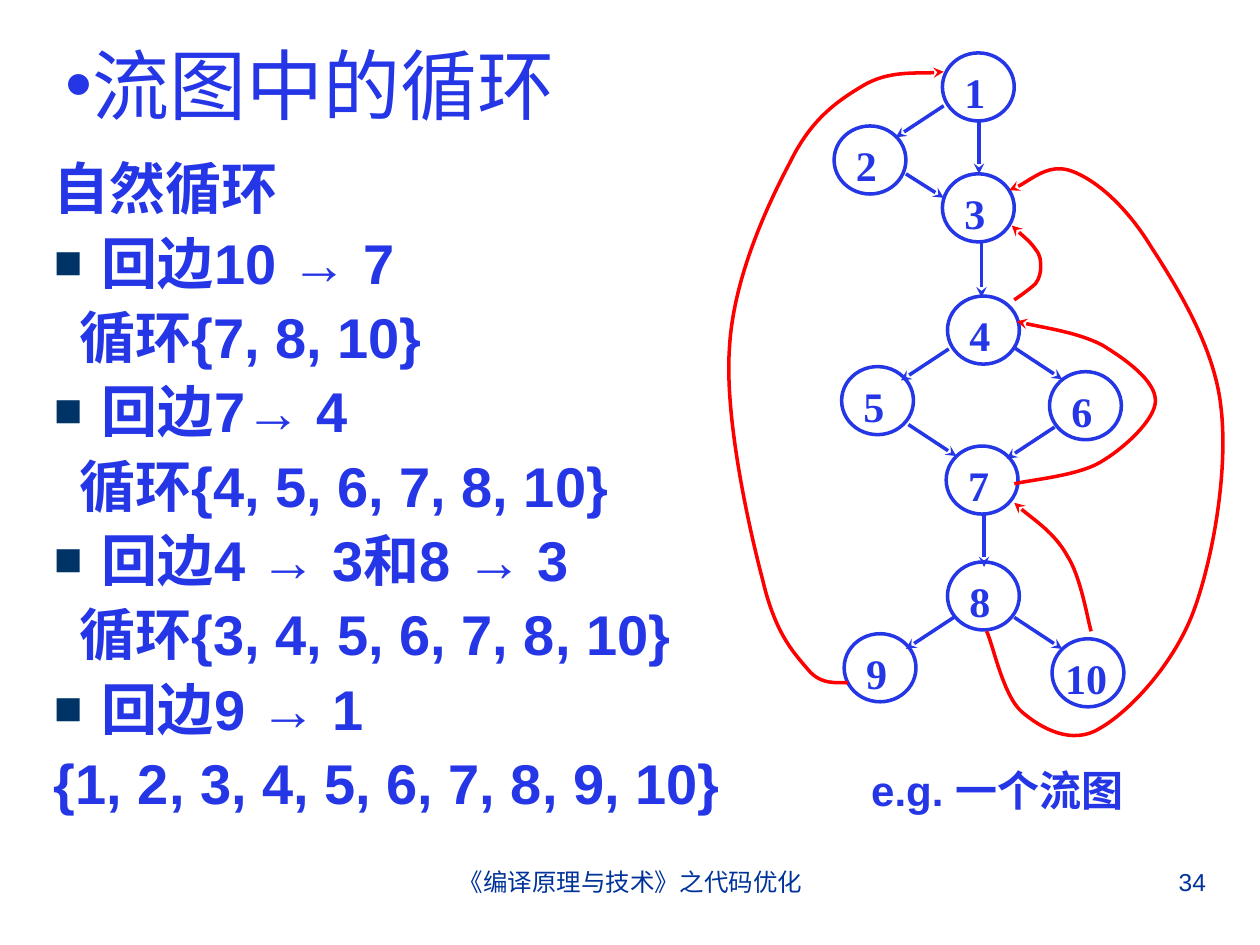
from lxml.etree import SubElement
from pptx import Presentation
from pptx.dml.color import RGBColor
from pptx.enum.lang import MSO_LANGUAGE_ID
from pptx.enum.shapes import MSO_CONNECTOR, MSO_SHAPE
from pptx.enum.text import MSO_ANCHOR, PP_ALIGN
from pptx.oxml.ns import qn
from pptx.util import Inches, Pt

COLORS = {"blue": "2436E6", "footer": "003399", "bullet": "003366", "loop": "FF0000"}
LATIN, CHINESE, SERIF = "Arial", "Noto Sans CJK SC", "Times New Roman"
FORMATS = {
    "title": {"name": CHINESE, "size": Pt(44)},
    "body": {"name": LATIN, "size": Pt(32), "bold": True},
    "body_chinese": {"name": CHINESE, "size": Pt(32), "bold": True},
    "node": {"name": SERIF, "size": Pt(24), "bold": True},
    "caption": {"name": LATIN, "size": Pt(24), "bold": True},
    "footer": {"name": LATIN, "size": Pt(14)},
}
HEADING = "自然循环"
BACK_EDGES = [
    ("10 → 7", "循环{7, 8, 10}"),
    ("7→ 4", "循环{4, 5, 6, 7, 8, 10}"),
    ("4 → 3和8 → 3", "循环{3, 4, 5, 6, 7, 8, 10}"),
    ("9 → 1", "{1, 2, 3, 4, 5, 6, 7, 8, 9, 10}"),
]
NODE_WIDTH, NODE_HEIGHT = 0.57, 0.54
NODES = [
    (1.73, 0), (0.87, 0.58), (1.73, 0.96), (1.77, 1.93), (0.93, 2.49),
    (2.58, 2.53), (1.76, 3.12), (1.77, 4.04), (0.95, 4.61), (2.6, 4.65),
]
DOWN, DOWN_LEFT, DOWN_RIGHT, SHORT_RIGHT = (0, 0.43), (-0.38, 0.25), (0.38, 0.25), (0.3, 0.19)
FORWARD_EDGES = [
    (1.74, 0.42, DOWN_LEFT), (2.02, 0.53, DOWN), (1.44, 0.96, SHORT_RIGHT),
    (2.04, 1.51, DOWN), (1.78, 2.35, DOWN_LEFT), (2.3, 2.34, DOWN_RIGHT),
    (1.46, 2.95, DOWN_RIGHT), (2.62, 2.97, DOWN_LEFT), (2.06, 3.65, DOWN),
    (2.3, 4.48, DOWN_RIGHT), (1.82, 4.48, DOWN_LEFT),
]
LOOP_CURVES = {
    "7 to 4": [
        (2.3, 3.42), (2.41, 3.39), (2.79, 3.36), (2.98, 3.25), (3.17, 3.14),
        (3.42, 2.91), (3.42, 2.76), (3.42, 2.6), (3.18, 2.43), (3, 2.32),
        (2.81, 2.22), (2.46, 2.17), (2.32, 2.13),
    ],
    "9 to 1": [
        (0.98, 5), (0.92, 4.99), (0.77, 5.03), (0.66, 4.89), (0.54, 4.75),
        (0.4, 4.6), (0.3, 4.17), (0.19, 3.75), (0, 2.89), (0.04, 2.34),
        (0.07, 1.79), (0.34, 1.21), (0.52, 0.87), (0.69, 0.52), (0.9, 0.38),
        (1.1, 0.26), (1.3, 0.14), (1.61, 0.17), (1.74, 0.15),
    ],
    "8 to 3": [
        (2.08, 4.59), (2.13, 4.69), (2.21, 5.1), (2.36, 5.23), (2.51, 5.36),
        (2.76, 5.5), (2.98, 5.36), (3.21, 5.23), (3.56, 4.86), (3.72, 4.44),
        (3.88, 4.01), (4, 3.3), (3.94, 2.81), (3.89, 2.33), (3.58, 1.84),
        (3.38, 1.53), (3.19, 1.22), (2.95, 1.01), (2.76, 0.94), (2.58, 0.87),
        (2.37, 1.06), (2.26, 1.09),
    ],
    "4 to 3": [
        (2.3, 1.96), (2.33, 1.94), (2.43, 1.87), (2.47, 1.83), (2.5, 1.79),
        (2.51, 1.74), (2.51, 1.7), (2.51, 1.65), (2.51, 1.61), (2.47, 1.56),
        (2.43, 1.5), (2.32, 1.41), (2.28, 1.37),
    ],
    "10 to 7": [
        (2.91, 4.59), (2.88, 4.49), (2.83, 4.16), (2.72, 3.99), (2.62, 3.81),
        (2.39, 3.66), (2.3, 3.57),
    ],
}


def add_run(paragraph, text, style, color="blue"):
    """Add a run in one of the named formats."""
    run = paragraph.add_run()
    run.text = text
    for attribute, value in FORMATS[style].items():
        setattr(run.font, attribute, value)
    run.font.language_id = MSO_LANGUAGE_ID.SIMPLIFIED_CHINESE
    run.font.color.rgb = RGBColor.from_string(COLORS[color])


def set_indent(paragraph, left, first_line=0.0):
    """Set the left margin and first line indent in inches."""
    properties = paragraph._p.get_or_add_pPr()
    properties.set("marL", str(Inches(left)))
    properties.set("indent", str(Inches(first_line)))


def add_bullet(paragraph, character, color, percent=100):
    """Give a paragraph a coloured bullet of relative size."""
    properties = paragraph._p.get_or_add_pPr()
    bullet_color = SubElement(properties, qn("a:buClr"))
    SubElement(bullet_color, qn("a:srgbClr"), val=COLORS[color])
    SubElement(properties, qn("a:buSzPct"), val=str(percent * 1000))
    SubElement(properties, qn("a:buFont"), typeface=LATIN)
    SubElement(properties, qn("a:buChar"), char=character)


def add_text_frame(slide, box):
    """Add a wrapping text box and return its frame."""
    frame = slide.shapes.add_textbox(*map(Inches, box)).text_frame
    frame.word_wrap = True
    return frame


def add_label(slide, box, text, style, alignment, color="blue"):
    """Add a single aligned line of text."""
    paragraph = add_text_frame(slide, box).paragraphs[0]
    paragraph.alignment = alignment
    add_run(paragraph, text, style, color)


def add_title(slide, box):
    """Add the bulleted title."""
    frame = add_text_frame(slide, box)
    frame.vertical_anchor = MSO_ANCHOR.MIDDLE
    paragraph = frame.paragraphs[0]
    set_indent(paragraph, 0)
    add_bullet(paragraph, "•", "blue")
    add_run(paragraph, "流图中的循环", "title")


def add_loop_list(slide, box):
    """List each back edge with its natural loop."""
    frame = add_text_frame(slide, box)
    add_run(frame.paragraphs[0], HEADING, "body")
    for edge, loop in BACK_EDGES:
        paragraph = frame.add_paragraph()
        set_indent(paragraph, 0.38, -0.38)
        add_bullet(paragraph, "■", "bullet", 85)
        add_run(paragraph, "回边", "body_chinese")
        add_run(paragraph, edge, "body")
        paragraph = frame.add_paragraph()
        set_indent(paragraph, 0 if loop.startswith("{") else 0.2)
        add_run(paragraph, loop, "body")
    for paragraph in frame.paragraphs:
        paragraph.line_spacing = Pt(38.5)
    for paragraph in frame.paragraphs[1:]:
        paragraph.space_before = Pt(4)


def style_line(shape, color, arrow=False):
    """Draw a two point line, with an arrowhead at its end if asked."""
    shape.line.color.rgb = RGBColor.from_string(COLORS[color])
    shape.line.width = Pt(2)
    if arrow:
        SubElement(shape.line._get_or_add_ln(), qn("a:tailEnd"), type="stealth")


def add_node(slide, left, top, number):
    """Add one numbered node."""
    box = map(Inches, (left, top, NODE_WIDTH, NODE_HEIGHT))
    shape = slide.shapes.add_shape(MSO_SHAPE.OVAL, *box)
    shape.shadow.inherit = False
    shape.fill.background()
    style_line(shape, "blue")
    frame = shape.text_frame
    side = 0.09 if number < 10 else 0.02
    margins = {"left": side, "right": side, "top": 0.03, "bottom": 0.05}
    for edge, margin in margins.items():
        setattr(frame, f"margin_{edge}", Inches(margin))
    frame.vertical_anchor = MSO_ANCHOR.TOP
    frame.paragraphs[0].alignment = PP_ALIGN.LEFT
    add_run(frame.paragraphs[0], str(number), "node")


def add_curve(slide, points):
    """Draw an arrow of joined cubic curves through triples of points."""
    start, *rest = [(Inches(x), Inches(y)) for x, y in points]
    builder = slide.shapes.build_freeform(*start)
    builder.add_line_segments(rest, close=False)
    shape = builder.convert_to_shape()
    segments = list(shape._element.iter(qn("a:lnTo")))
    for index in range(0, len(segments), 3):
        curve = SubElement(segments[index].getparent(), qn("a:cubicBezTo"))
        for segment in segments[index:index + 3]:
            curve.append(segment[0])
            segment.getparent().remove(segment)
    shape.shadow.inherit = False
    shape.fill.background()
    style_line(shape, "loop", arrow=True)


def add_flow_graph(slide, left, top):
    """Draw the nodes, forward edges and loop curves."""
    for number, (x, y) in enumerate(NODES, 1):
        add_node(slide, left + x, top + y, number)
    for x, y, (run, drop) in FORWARD_EDGES:
        ends = (left + x, top + y, left + x + run, top + y + drop)
        connector = slide.shapes.add_connector(MSO_CONNECTOR.STRAIGHT, *map(Inches, ends))
        style_line(connector, "blue", arrow=True)
        SubElement(connector._element.spPr, qn("a:effectLst"))
    for points in LOOP_CURVES.values():
        add_curve(slide, [(left + x, top + y) for x, y in points])


def main():
    """Build the slide and save it."""
    presentation = Presentation()
    presentation.slide_width, presentation.slide_height = Inches(10), Inches(7.5)
    slide = presentation.slides.add_slide(presentation.slide_layouts[6])
    add_label(slide, (3.42, 6.83, 3.17, 0.52), "《编译原理与技术》之代码优化", "footer", PP_ALIGN.CENTER, "footer")
    add_label(slide, (7.17, 6.83, 2.5, 0.52), "34", "footer", PP_ALIGN.RIGHT, "footer")
    add_title(slide, (0.42, 0.25, 9, 0.83))
    add_loop_list(slide, (0.33, 1.17, 9.42, 5.67))
    add_flow_graph(slide, 5.75, 0.42)
    add_label(slide, (6.08, 6.02, 3.67, 0.5), "e.g. 一个流图", "caption", PP_ALIGN.CENTER)
    presentation.save("out.pptx")


if __name__ == "__main__":
    main()
